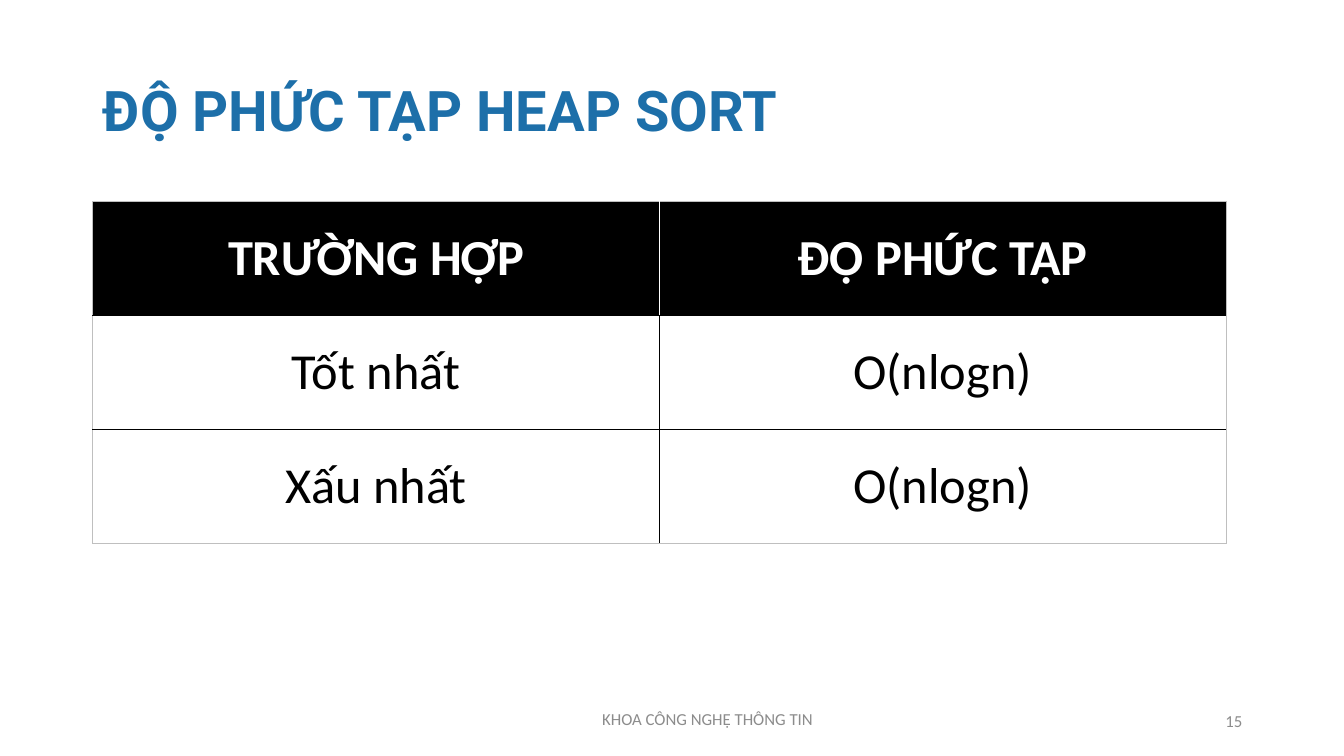
"""Build the heap sort complexity slide with its two-column table."""
from lxml.etree import SubElement
from pptx import Presentation
from pptx.dml.color import RGBColor
from pptx.enum.text import MSO_ANCHOR as Anchor, PP_ALIGN as Align
from pptx.oxml.ns import qn
from pptx.util import Inches, Pt

BLUE = RGBColor(0x1D, 0x6F, 0xA9)
BLACK = RGBColor(0, 0, 0)
WHITE = RGBColor(255, 255, 255)
GREY = RGBColor(0x8C, 0x8C, 0x8C)
PALE = RGBColor(0xBF, 0xBF, 0xBF)


def write(frame, text, face, size, color, align, bold=False):
    frame.text = text
    para = frame.paragraphs[0]
    para.alignment = align
    font = para.font
    font.name, font.size, font.bold = face, Pt(size), bold
    font.color.rgb = color
    return para


def edge(cell, side, color, width):
    line = SubElement(cell._tc.get_or_add_tcPr(), qn("a:ln" + side), w=str(Pt(width)))
    fill = SubElement(line, qn("a:solidFill"))
    SubElement(fill, qn("a:srgbClr"), val=str(color))


deck = Presentation()
deck.slide_width, deck.slide_height = Inches(13.33), Inches(7.5)
slide = deck.slides.add_slide(deck.slide_layouts[5])
left = Inches(0.92)

title = slide.shapes.title
title.left, title.top = left, Inches(0.4)
title.width, title.height = Inches(11.5), Inches(1.45)
title.text_frame.word_wrap = True
title.text_frame.vertical_anchor = Anchor.MIDDLE
head = write(title.text_frame, "ĐỘ PHỨC TẠP HEAP SORT", "Roboto", 40, BLUE, Align.LEFT, True)
head.line_spacing = 0.9

cases = [
    ("TRƯỜNG HỢP", "ĐỘ PHỨC TẠP"),
    ("Tốt nhất", "O(nlogn)"),
    ("Xấu nhất", "O(nlogn)"),
]
rows, cols = len(cases), len(cases[0])
table = slide.shapes.add_table(
    rows, cols, left, Inches(2), Inches(5.62) * cols, Inches(1.13) * rows
).table
for r, case in enumerate(cases):
    top = r == 0
    for c, text in enumerate(case):
        cell = table.cell(r, c)
        cell.vertical_anchor = Anchor.MIDDLE
        write(cell.text_frame, text, "Calibri", 36, WHITE if top else BLACK, Align.CENTER, top)
        outer = {"L": c == 0, "R": c == cols - 1, "T": top, "B": r == rows - 1}
        for side, rim in outer.items():
            inner = WHITE if top and side in "LR" else BLACK
            edge(cell, side, PALE if rim else inner, 0.5 if rim else 1)
        if top:
            cell.fill.solid()
            cell.fill.fore_color.rgb = BLACK
        else:
            cell.fill.background()

notes = [
    (" KHOA CÔNG NGHỆ THÔNG TIN", 4.75, 6.93, 4.5, Align.CENTER),
    ("15", 9.42, 6.95, 3, Align.RIGHT),
]
for text, x, y, width, align in notes:
    box = slide.shapes.add_textbox(Inches(x), Inches(y), Inches(width), Inches(0.4))
    box.text_frame.word_wrap = True
    box.text_frame.vertical_anchor = Anchor.MIDDLE
    write(box.text_frame, text, "Calibri", 12, GREY, align)

deck.save("out.pptx")
